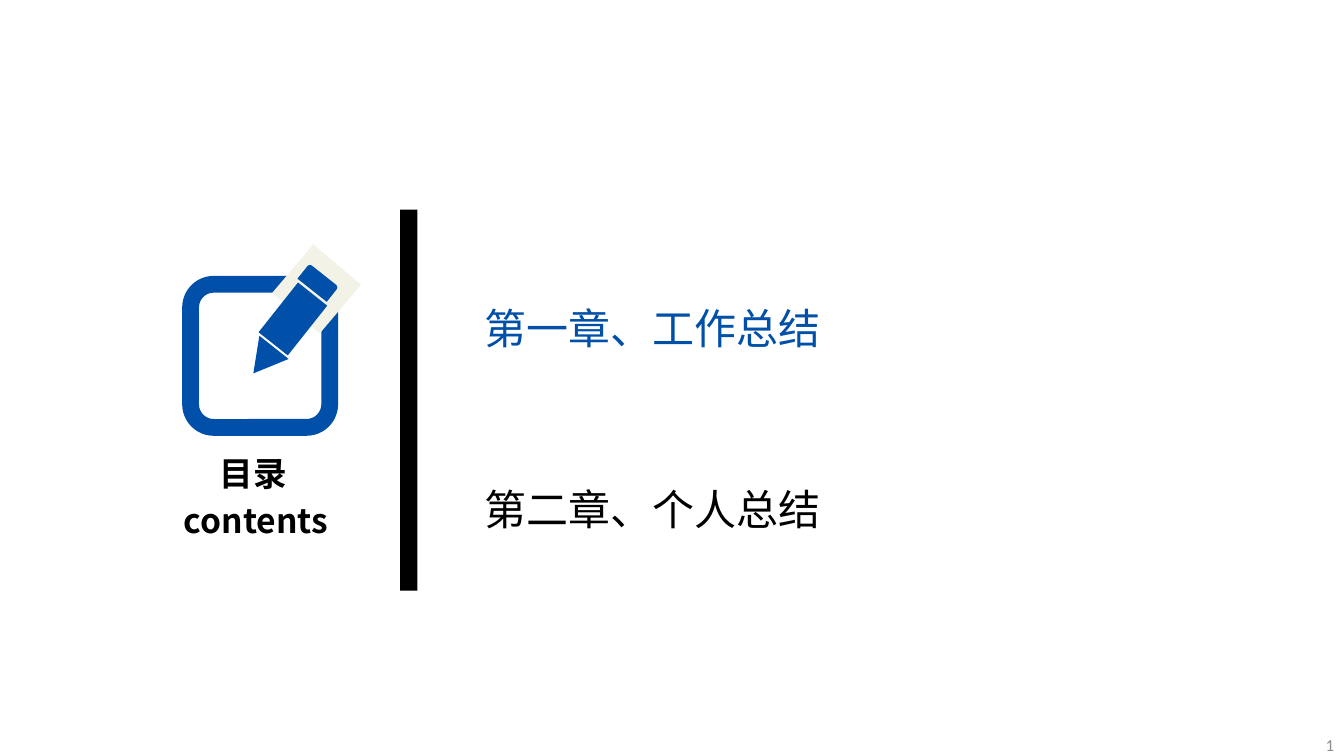
from lxml import etree
from pptx import Presentation
from pptx.dml.color import RGBColor
from pptx.enum.shapes import MSO_SHAPE
from pptx.enum.text import MSO_ANCHOR, MSO_AUTO_SIZE, PP_ALIGN
from pptx.oxml.ns import qn
from pptx.util import Inches, Pt

BLUE = RGBColor(0x00, 0x4F, 0xA8)
BLACK = RGBColor(0, 0, 0)
CREAM = RGBColor(0xF2, 0xF2, 0xE6)
GRAY = RGBColor(0x8C, 0x8C, 0x8C)
RECT = MSO_SHAPE.RECTANGLE
ROUNDED = MSO_SHAPE.ROUNDED_RECTANGLE
CAP = MSO_SHAPE.ROUND_2_SAME_RECTANGLE
TRIANGLE = MSO_SHAPE.ISOSCELES_TRIANGLE
LEFT, CENTER, RIGHT = PP_ALIGN.LEFT, PP_ALIGN.CENTER, PP_ALIGN.RIGHT
TOP, MIDDLE = MSO_ANCHOR.TOP, MSO_ANCHOR.MIDDLE
CJK = "Noto Sans CJK SC"


def add_shape(parent, kind, box, fill=None, rotation=0):
    sp = parent.shapes.add_shape(kind, *map(Inches, box))
    sp.shadow.inherit = False
    sp.rotation = rotation
    sp.line.fill.background()
    if fill is None:
        sp.fill.background()
    else:
        sp.fill.solid()
        sp.fill.fore_color.rgb = fill
    return sp


def write(sp, text, box, size, color=BLACK, font=CJK, bold=False, align=LEFT, anchor=TOP):
    sp.left, sp.top, sp.width, sp.height = map(Inches, box)
    tf = sp.text_frame
    tf.word_wrap = True
    tf.auto_size = MSO_AUTO_SIZE.NONE
    tf.vertical_anchor = anchor
    p = tf.paragraphs[0]
    p.alignment = align
    r = p.add_run()
    r.text = text
    r.font.size = Pt(size)
    r.font.bold = bold
    r.font.color.rgb = color
    r.font.name = font
    etree.SubElement(r.font._element, qn("a:ea"), typeface=font)
    return r


prs = Presentation()
prs.slide_width, prs.slide_height = Inches(13.33), Inches(7.5)
s = prs.slides.add_slide(prs.slide_layouts[5])

icon = s.shapes.add_group_shape()
frame = add_shape(icon, ROUNDED, (1.89, 2.82, 1.38, 1.42))
frame.line.color.rgb = BLUE
frame.line.width = Pt(12)

pencil_parts = [
    (RECT, (2.83, 2.55, 0.62, 0.63), CREAM, 40.3),
    (CAP, (2.97, 2.71, 0.37, 0.19), BLUE, 38.4),
    (RECT, (2.72, 2.85, 0.37, 0.63), BLUE, 38.4),
    (TRIANGLE, (2.43, 3.41, 0.37, 0.33), BLUE, 218.4),
]
for kind, box, fill, rotation in pencil_parts:
    add_shape(icon, kind, box, fill, rotation)

add_shape(s, RECT, (3.97, 2.08, 0.17, 3.78), BLACK)

write(s.shapes.title, "目录", (1.82, 4.44, 1.38, 0.5), 24, bold=True, align=CENTER)
subtitle = s.shapes.add_textbox(0, 0, 0, 0)
write(subtitle, "contents", (1.55, 4.91, 1.98, 0.5), 24, bold=True, align=CENTER)

chapters = [("第一章、工作总结", BLUE), ("第二章、个人总结", BLACK)]
for i, (chapter, color) in enumerate(chapters):
    box = (4.71, 2.95 + 1.8 * i, 7.17, 0.6)
    write(s.shapes.add_textbox(0, 0, 0, 0), chapter, box, 30, color)

number = s.shapes.add_textbox(0, 0, 0, 0)
r = write(number, "1", (12.49, 7.28, 0.84, 0.22), 12, GRAY, "Calibri", align=RIGHT, anchor=MIDDLE)
field = r._r
field.tag = qn("a:fld")
field.set("id", "{B6F15528-21DE-4FAA-801E-634DDDAF4B2B}")
field.set("type", "slidenum")

prs.save("out.pptx")
